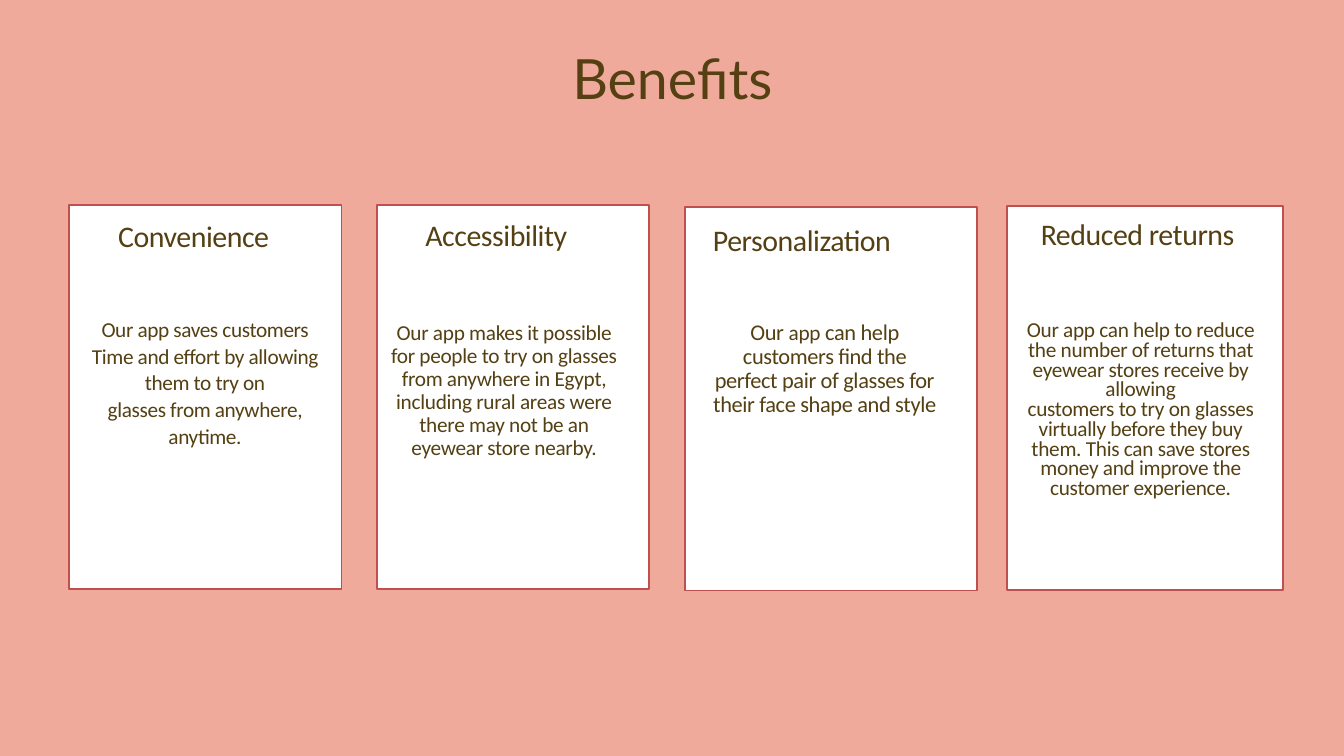
from pptx import Presentation
from pptx.dml.color import RGBColor
from pptx.enum.shapes import MSO_SHAPE
from pptx.enum.text import PP_ALIGN
from pptx.util import Cm, Pt

BODY, LARGE = 22.8, 24

# Each body paragraph is a list of (text, size) runs
CARDS = [
    {
        "box": (2.62, 7.75, 10.29), "heading": "Convenience",
        "heading_at": (2.24, 7.75, 10.16), "align": PP_ALIGN.CENTER,
        "body_at": (3.33, 11.91, 8.84, 7.34), "leading": 28.6, "spacing": -0.4,
        "body": [
            [("Our app saves customers Time and effort by allowing them to try on", BODY)],
            [("glasses from anywhere, anytime.", BODY)],
        ],
    },
    {
        "box": (14.25, 7.75, 10.29), "heading": "Accessibility",
        "heading_at": (13.68, 7.72, 10.16), "align": PP_ALIGN.CENTER,
        "body_at": (14.71, 12.17, 8.69, 7.67), "leading": 24.6, "spacing": -0.3,
        "body": [
            [("Our app makes it possible for people to try on glasses", BODY)],
            [("from anywhere in Egypt, including rural areas were", BODY)],
            [("there may not be an eyewear store nearby.", BODY)],
        ],
    },
    {
        "box": (25.88, 7.82, 11.05), "heading": "Personalization",
        "heading_at": (26.95, 8.36, 9.9), "align": PP_ALIGN.LEFT, "heading_leading": 38.4,
        "body_at": (26.85, 12.12, 8.64, 5.59), "leading": 25.9, "spacing": -0.4,
        "body": [
            [("Our ", LARGE), ("app", BODY),
             (" can help customers find the perfect pair of glasses for", LARGE)],
            [("their face shape and style", LARGE)],
        ],
    },
    {
        "box": (38.07, 7.8, 10.44), "heading": "Reduced returns",
        "heading_at": (37.92, 7.67, 10.16), "align": PP_ALIGN.CENTER,
        "body_at": (38.76, 12.19, 8.71, 9.75), "leading": 21.1, "spacing": -0.3,
        "body": [
            [("Our app can help to reduce the number of returns that eyewear "
              "stores receive by allowing", BODY)],
            [("customers to try on glasses virtually before they buy them. This can "
              "save stores money and improve the customer experience.", BODY)],
        ],
    },
]


def color(hex_code):
    return RGBColor.from_string(hex_code)


class Deck:
    """Holds the style and the current slide."""

    background, fill, line, ink = "EFAA9C", "FFFFFF", "C0504D", "544013"
    card_height = 14.5

    def __init__(self, prs):
        self.s = prs.slides.add_slide(prs.slide_layouts[6])
        bg = self.s.background.fill
        bg.solid()
        bg.fore_color.rgb = color(self.background)

    def card(self, left, top, width):
        sp = self.s.shapes.add_shape(
            MSO_SHAPE.RECTANGLE, Cm(left), Cm(top), Cm(width), Cm(self.card_height))
        sp.shadow.inherit = False
        sp.fill.solid()
        sp.fill.fore_color.rgb = color(self.fill)
        sp.line.color.rgb = color(self.line)
        sp.line.width = Pt(2)

    def text(self, at, paragraphs, leading, font="Calibri", spacing=0,
             align=PP_ALIGN.CENTER):
        tf = self.s.shapes.add_textbox(*map(Cm, at)).text_frame
        frame = {"word_wrap": True, "margin_left": 0, "margin_right": 0,
                 "margin_top": 0, "margin_bottom": 0}
        for name, value in frame.items():
            setattr(tf, name, value)
        for i, runs in enumerate(paragraphs):
            p = tf.add_paragraph() if i else tf.paragraphs[0]
            p.alignment = align
            p.line_spacing = Pt(leading)
            for text, size in runs:
                r = p.add_run()
                r.text = text
                for name, value in {"name": font, "size": Pt(size)}.items():
                    setattr(r.font, name, value)
                r.font.color.rgb = color(self.ink)
                # Letter spacing is stored in hundredths of a point
                if spacing:
                    r.font._element.set("spc", str(round(spacing * 100)))


def main():
    prs = Presentation()
    prs.slide_width, prs.slide_height = Cm(50.8), Cm(28.575)
    deck = Deck(prs)

    # Title
    deck.text((3.76, 1.93, 43.31, 2.31), [[("Benefits", 59.4)]], 64.2, font="Lato")

    # Benefit cards
    for card in CARDS:
        deck.card(*card["box"])
        deck.text((*card["heading_at"], 1.7), [[(card["heading"], 32)]],
                  card.get("heading_leading", 51.8), spacing=-0.5, align=card["align"])
        deck.text(card["body_at"], card["body"], card["leading"], spacing=card["spacing"])

    prs.save("out.pptx")


if __name__ == "__main__":
    main()
